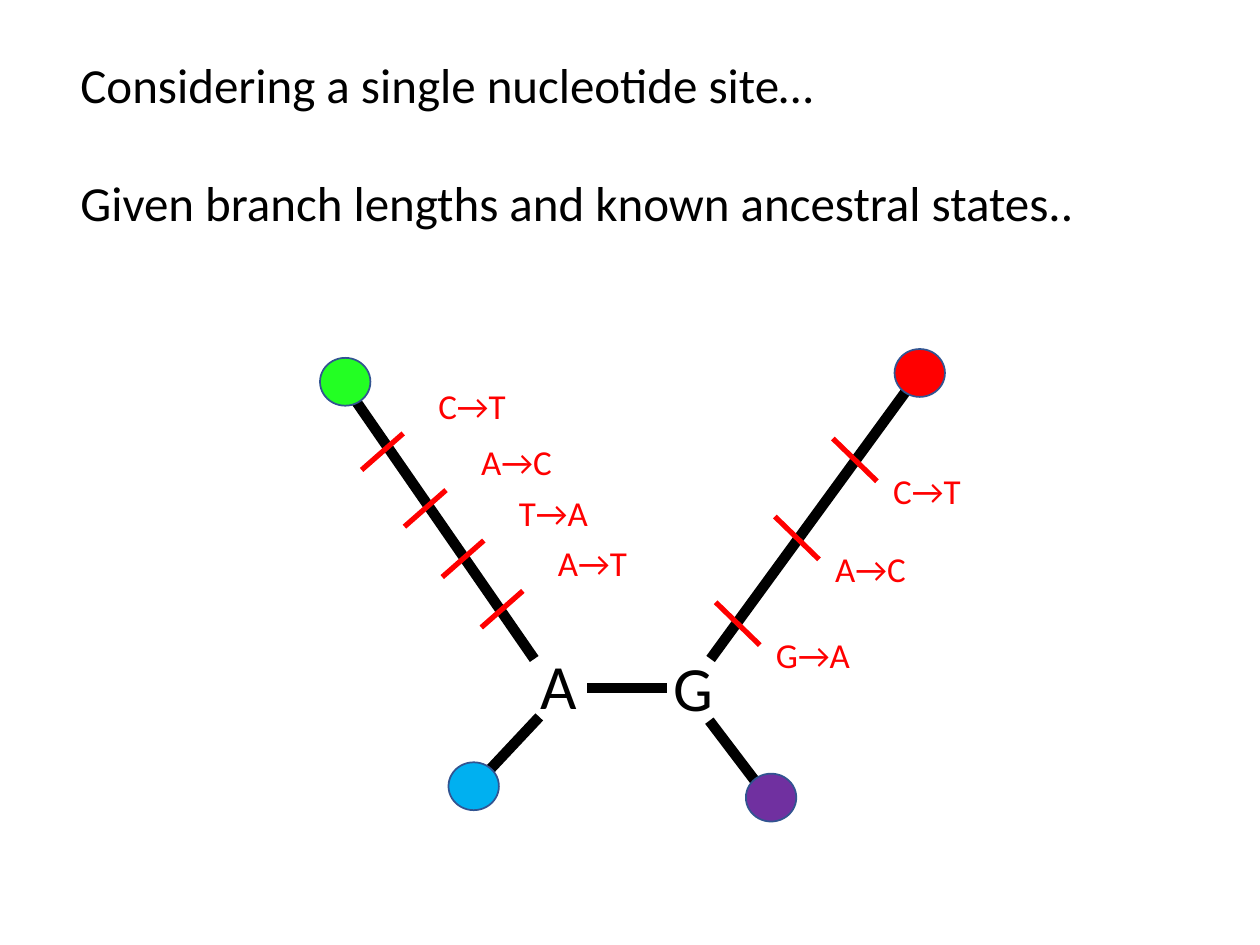
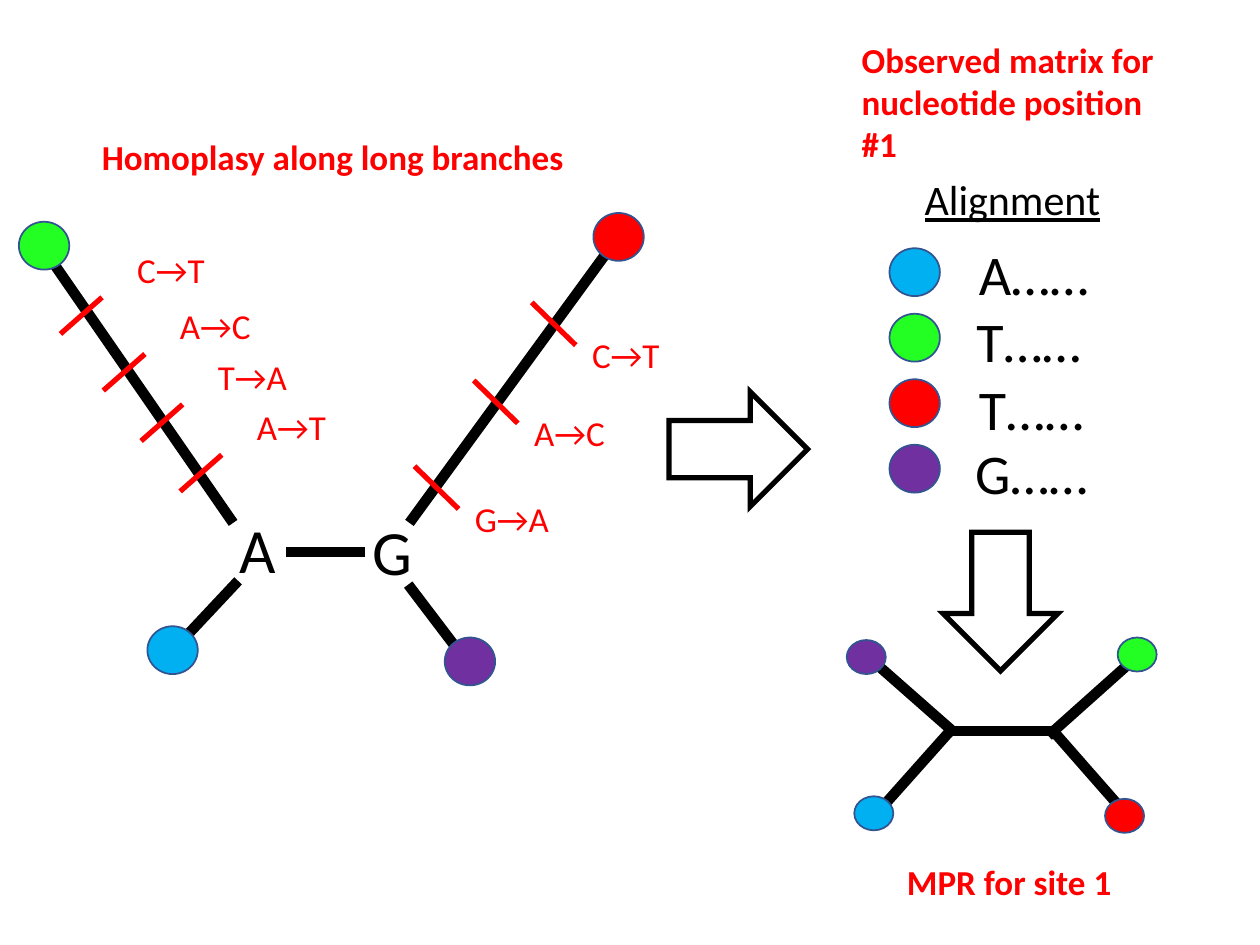
from lxml import etree
from pptx import Presentation
from pptx.dml.color import RGBColor
from pptx.enum import shapes as kinds, text as modes
from pptx.oxml import ns
from pptx.util import Inches, Pt

BLACK = RGBColor(0, 0, 0)
WHITE = RGBColor(255, 255, 255)
RED = RGBColor(255, 0, 0)
GREEN = RGBColor(0x23, 0xFF, 0x23)
BLUE = RGBColor(0, 0xB0, 0xF0)
PURPLE = RGBColor(0x70, 0x30, 0xA0)
EDGE = RGBColor(0x32, 0x54, 0x91)
FONT = "Calibri"
OVAL = kinds.MSO_SHAPE.OVAL
ARROW = kinds.MSO_SHAPE.RIGHT_ARROW
DOT = (0.4, 0.38)


def write(slide, lines, box, size, color=BLACK, bold=None, line=None, wrap=False):
    """Add a text box with one paragraph per line, a blank line's height apart."""
    frame = slide.shapes.add_textbox(*map(Inches, box)).text_frame
    frame.word_wrap = wrap
    frame.auto_size = modes.MSO_AUTO_SIZE.SHAPE_TO_FIT_TEXT
    for i, words in enumerate(lines):
        para = frame.paragraphs[0] if i == 0 else frame.add_paragraph()
        para.text = words
        if i:
            para.space_before = Pt(size * 1.22)
        para.font.name = FONT
        para.font.size = Pt(size)
        para.font.color.rgb = color
        para.font.bold = bold
        para.font.underline = line


def draw(shapes, kind, box, fill, edge, width):
    """Add a filled preset shape with a sharp-cornered outline."""
    shape = shapes.add_shape(kind, *map(Inches, box))
    shape.shadow.inherit = False
    shape.fill.solid()
    shape.fill.fore_color.rgb = fill
    shape.line.color.rgb = edge
    shape.line.width = Pt(width)
    etree.SubElement(shape.line._get_or_add_ln(), ns.qn("a:miter"), lim="800000")
    return shape


prs = Presentation()
prs.slide_width, prs.slide_height = Inches(10), Inches(7.5)
blank = prs.slide_layouts[6]
intro = prs.slides.add_slide(blank)
result = prs.slides.add_slide(blank)

# True tree: branches, tips, root letters and substitutions
branches = [(5.29, 5.46, 4.66, 5.46), (4.24, 5.23, 2.76, 3.09),
            (5.63, 5.72, 6.04, 6.26), (5.64, 5.23, 7.26, 3.01),
            (3.83, 6.17, 4.28, 5.69)]
tips = [(2.54, 2.84, GREEN), (5.92, 6.14, PURPLE),
        (7.1, 2.77, RED), (3.56, 6.05, BLUE)]
nodes = [("A", 4.19, 5.08, 0.49), ("G", 5.25, 5.1, 0.52)]
# Each side: tick run and rise, label offset, then the tick starts
sides = [
    (0.33, -0.29, 0.51, -0.73,
     [("A→T", 3.82, 4.98), ("T→A", 3.51, 4.58),
      ("A→C", 3.21, 4.18), ("C→T", 2.87, 3.73)]),
    (0.35, 0.34, 0.38, 0.2,
     [("G→A", 5.68, 4.78), ("A→C", 6.15, 4.1), ("C→T", 6.61, 3.48)]),
]
ticks = [(x, y, x + run, y + rise)
         for run, rise, _, _, marks in sides for _, x, y in marks]

# Inferred tree
limbs = [(8.37, 5.8, 7.53, 5.8), (8.34, 5.78, 8.91, 6.43),
         (8.32, 5.84, 8.98, 5.25), (7.56, 5.78, 6.99, 6.42),
         (7.58, 5.82, 6.91, 5.23)]
ends = [(8.87, 5.06, GREEN), (6.72, 5.08, PURPLE),
        (8.77, 6.34, RED), (6.78, 6.32, BLUE)]

write(intro, ["Considering a single nucleotide site…",
              "Given branch lengths and known ancestral states.."],
      (0.54, 0.38, 8.76, 1.99), 28, wrap=True)

shift = (-2.39, -1.08)
trees = [(intro.shapes, 0, 0, branches, ticks, tips, DOT),
         (result.shapes, *shift, branches, ticks, tips, DOT),
         (result.shapes.add_group_shape().shapes, 0, 0, limbs, [], ends, (0.31, 0.27))]
for shapes, dx, dy, thick, thin, dots, size in trees:
    for rows, color, width in ((thick, BLACK, 6), (thin, RED, 3)):
        for x1, y1, x2, y2 in rows:
            link = shapes.add_connector(
                kinds.MSO_CONNECTOR.STRAIGHT, Inches(x1 + dx), Inches(y1 + dy),
                Inches(x2 + dx), Inches(y2 + dy))
            link.line.color.rgb = color
            link.line.width = Pt(width)
            etree.SubElement(link._element.spPr, ns.qn("a:effectLst"))
    for x, y, color in dots:
        draw(shapes, OVAL, (x + dx, y + dy, *size), color, EDGE, 1)

for slide, dx, dy in ((intro, 0, 0), (result, *shift)):
    for base, x, y, width in nodes:
        write(slide, [base], (x + dx, y + dy, width, 0.71), 36)
    for _, _, right, down, marks in sides:
        for change, x, y in marks:
            write(slide, [change], (x + right + dx, y + down + dy, 0.79, 0.44), 20, RED)

# Alignment column
rows = [("A……", 7.67, 1.85, 1.12, BLUE), ("T……", 7.65, 2.38, 1.04, GREEN),
        ("T……", 7.67, 2.92, 1.04, RED), ("G……", 7.64, 3.43, 1.14, PURPLE)]
for i, (bases, x, y, width, color) in enumerate(rows):
    draw(result.shapes, OVAL, (7.06, 1.97 + 0.52 * i, *DOT), color, EDGE, 1)
    write(result, [bases], (x, y, width, 0.64), 32)
write(result, ["Alignment"], (7.24, 1.33, 1.61, 0.5), 24, line=True)

for x, y, turn in ((5.31, 3.11, 0), (7.39, 4.32, 90)):
    arrow = draw(result.shapes, ARROW, (x, y, 1.1, 0.91), WHITE, BLACK, 3)
    arrow.rotation = turn

heads = [("Observed matrix for nucleotide position #1", (6.74, 0.26, 2.68, 1.11), True),
         ("MPR for site 1", (7.1, 6.78, 1.84, 0.44), False),
         ("Homoplasy along long branches", (0.71, 1.03, 3.9, 0.44), False)]
for words, box, wrap in heads:
    write(result, [words], box, 20, RED, bold=True, wrap=wrap)

prs.save("out.pptx")
